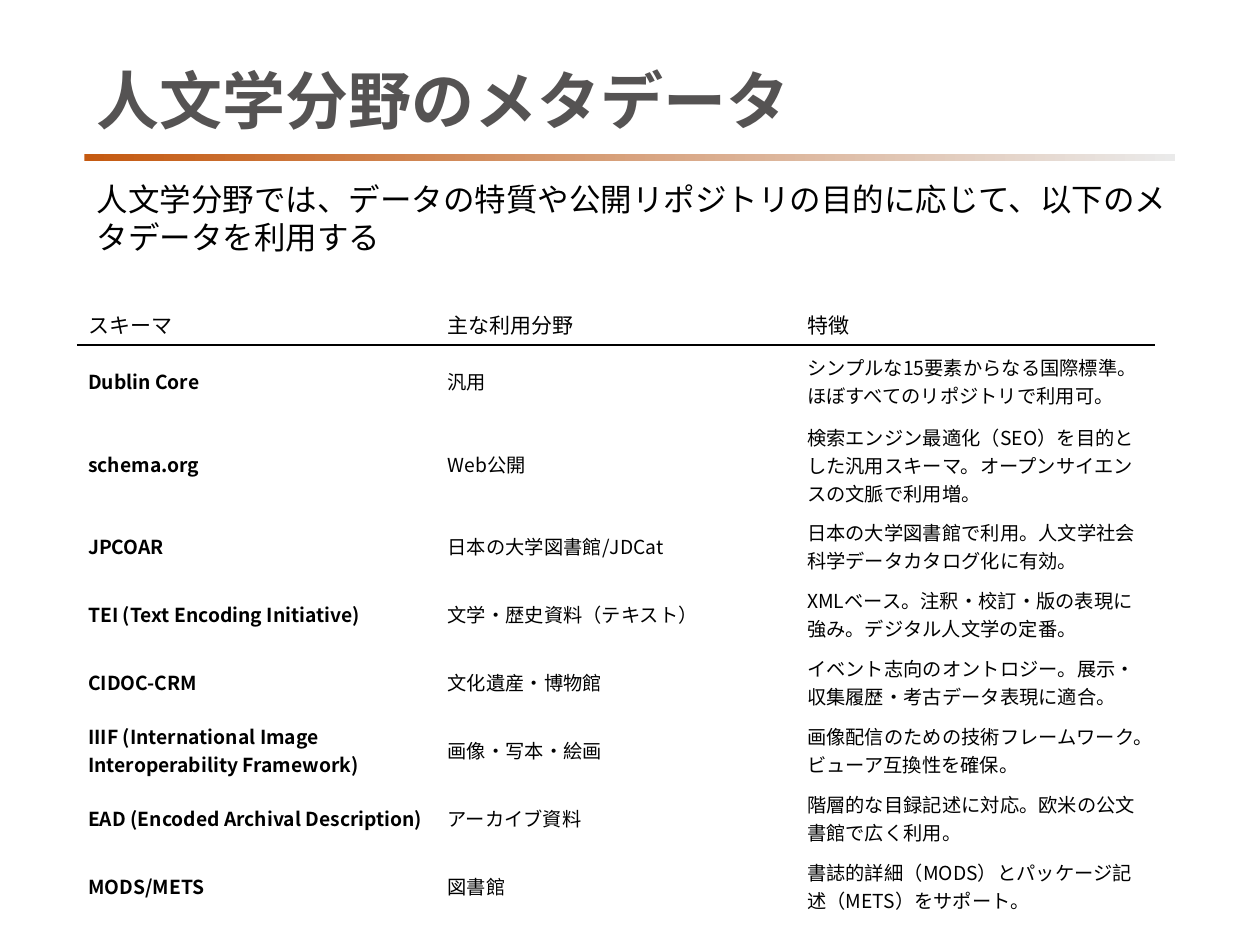
from dataclasses import dataclass

from lxml.etree import SubElement
from pptx import Presentation
from pptx.dml.color import RGBColor
from pptx.enum.shapes import MSO_SHAPE as Shape
from pptx.enum.text import MSO_ANCHOR as Anchor
from pptx.enum.text import PP_ALIGN as Align
from pptx.oxml import parse_xml
from pptx.oxml.ns import nsdecls, qn
from pptx.util import Inches, Pt

COLORS = {"text": "000000", "title": "555353", "accent": "C55A11", "fade": "EAEAEA"}
FONT = "Noto Sans CJK JP"
PLAIN_TABLE_STYLE = "{2D5ABB26-0587-4C30-8999-92F81FD0307C}"
TABLE_WIDTH = 8.56
CELL_FORMAT = {
    "vertical_anchor": Anchor.MIDDLE,
    "margin_left": Inches(0.09),
    "margin_right": Inches(0.09),
    "margin_top": Inches(0.05),
    "margin_bottom": Inches(0.05),
}


@dataclass(frozen=True)
class TextBlock:
    text: str
    left: float
    top: float
    width: float
    height: float
    size: int
    color: str = "text"
    bold: bool = False
    anchor: Anchor = Anchor.TOP


@dataclass(frozen=True)
class SchemaRow:
    name: str
    field: str
    feature: str
    height: float = 0.54


TEXT_BLOCKS = [
    TextBlock("人文学分野のメタデータ", 0.67, 0.39, 8.66, 0.79, 36, "title", True,
              Anchor.MIDDLE),
    TextBlock("人文学分野では、データの特質や公開リポジトリの目的に応じて、以下のメタデータを利用する",
              0.67, 1.38, 8.9, 5.83, 18),
]

ROWS = [
    SchemaRow("スキーマ", "主な利用分野", "特徴", 0.34),
    SchemaRow("Dublin Core", "汎用",
              "シンプルな15要素からなる国際標準。ほぼすべてのリポジトリで利用可。", 0.57),
    SchemaRow("schema.org", "Web公開",
              "検索エンジン最適化（SEO）を目的とした汎用スキーマ。オープンサイエンスの文脈で利用増。",
              0.75),
    SchemaRow("JPCOAR", "日本の大学図書館/JDCat",
              "日本の大学図書館で利用。人文学社会科学データカタログ化に有効。"),
    SchemaRow("TEI (Text Encoding Initiative)", "文学・歴史資料（テキスト）",
              "XMLベース。注釈・校訂・版の表現に強み。デジタル人文学の定番。"),
    SchemaRow("CIDOC-CRM", "文化遺産・博物館",
              "イベント志向のオントロジー。展示・収集履歴・考古データ表現に適合。"),
    SchemaRow("IIIF (International Image Interoperability Framework)", "画像・写本・絵画",
              "画像配信のための技術フレームワーク。ビューア互換性を確保。"),
    SchemaRow("EAD (Encoded Archival Description)", "アーカイブ資料",
              "階層的な目録記述に対応。欧米の公文書館で広く利用。"),
    SchemaRow("MODS/METS", "図書館",
              "書誌的詳細（MODS）とパッケージ記述（METS）をサポート。"),
]


def write_text(para, text: str, size: int, color: str = "text", bold: bool = False) -> None:
    para.alignment = Align.LEFT
    span = para.add_run()
    span.text = text
    span.font.color.rgb = RGBColor.from_string(COLORS[color])
    for key, value in {"name": FONT, "size": Pt(size), "bold": bold}.items():
        setattr(span.font, key, value)
    SubElement(span._r.get_or_add_rPr(), qn("a:ea"), typeface=FONT)


def add_text_block(page, block: TextBlock) -> None:
    box = page.shapes.add_textbox(Inches(block.left), Inches(block.top),
                                  Inches(block.width), Inches(block.height))
    frame = box.text_frame
    frame.word_wrap = True
    frame.vertical_anchor = block.anchor
    write_text(frame.paragraphs[0], block.text, block.size, block.color, block.bold)


def add_title_rule(page) -> None:
    rule = page.shapes.add_shape(Shape.RECTANGLE, Inches(0.67), Inches(1.22),
                                 Inches(8.66), Inches(0.06))
    rule.shadow.inherit = False
    rule.line.fill.background()
    rule.fill.gradient()
    rule.fill.gradient_angle = 0
    for stop, color, position in zip(rule.fill.gradient_stops, ("accent", "fade"), (0, 1)):
        stop.color.rgb = RGBColor.from_string(COLORS[color])
        stop.position = position


def set_borders(cell, ruled_side: str) -> None:
    ruled = f'<a:solidFill><a:srgbClr val="{COLORS["text"]}"/></a:solidFill>'
    for position, side in enumerate(("lnL", "lnR", "lnT", "lnB")):
        line = ruled if side == ruled_side else "<a:noFill/>"
        border = parse_xml(f'<a:{side} {nsdecls("a")} w="{Pt(1)}">{line}</a:{side}>')
        cell._tc.get_or_add_tcPr().insert(position, border)


def add_schema_table(page, rows: list[SchemaRow]) -> None:
    graphic = page.shapes.add_table(len(rows), 3, Inches(0.61), Inches(2.4),
                                    Inches(TABLE_WIDTH),
                                    Inches(sum(row.height for row in rows)))
    table = graphic.table
    table.first_row = table.horz_banding = False
    table._tbl.tblPr.find(qn("a:tableStyleId")).text = PLAIN_TABLE_STYLE
    for column in table.columns:
        column.width = Inches(TABLE_WIDTH / 3)
    ruled_sides = {0: "lnB", 1: "lnT"}
    for index, row in enumerate(rows):
        table.rows[index].height = Inches(row.height)
        for position, text in enumerate((row.name, row.field, row.feature)):
            cell = table.cell(index, position)
            for key, value in CELL_FORMAT.items():
                setattr(cell, key, value)
            cell.fill.background()
            write_text(cell.text_frame.paragraphs[0], text, 11 if index else 12,
                       bold=index > 0 and position == 0)
            set_borders(cell, ruled_sides.get(index, ""))


def main() -> None:
    deck = Presentation()
    deck.slide_width, deck.slide_height = Inches(10), Inches(7.5)
    page = deck.slides.add_slide(deck.slide_layouts[6])
    add_title_rule(page)
    for block in TEXT_BLOCKS:
        add_text_block(page, block)
    add_schema_table(page, ROWS)
    deck.save("out.pptx")


if __name__ == "__main__":
    main()
